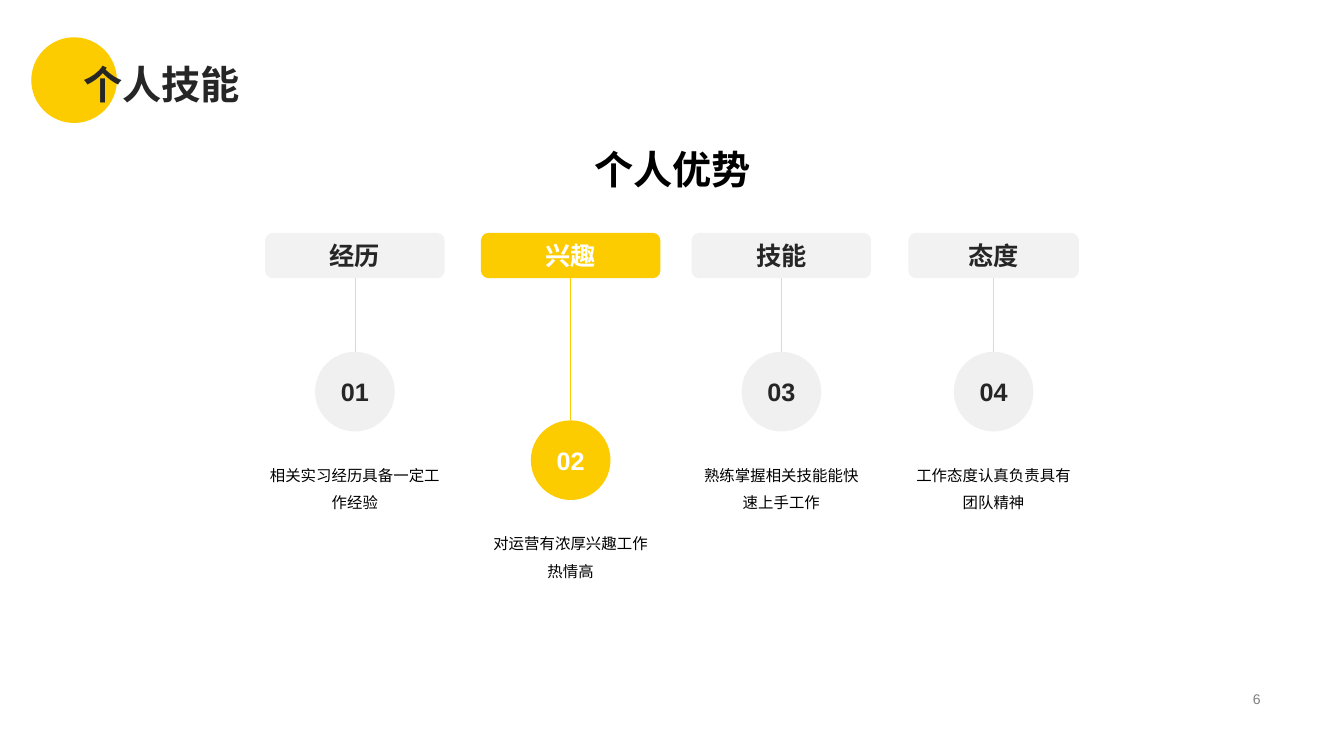
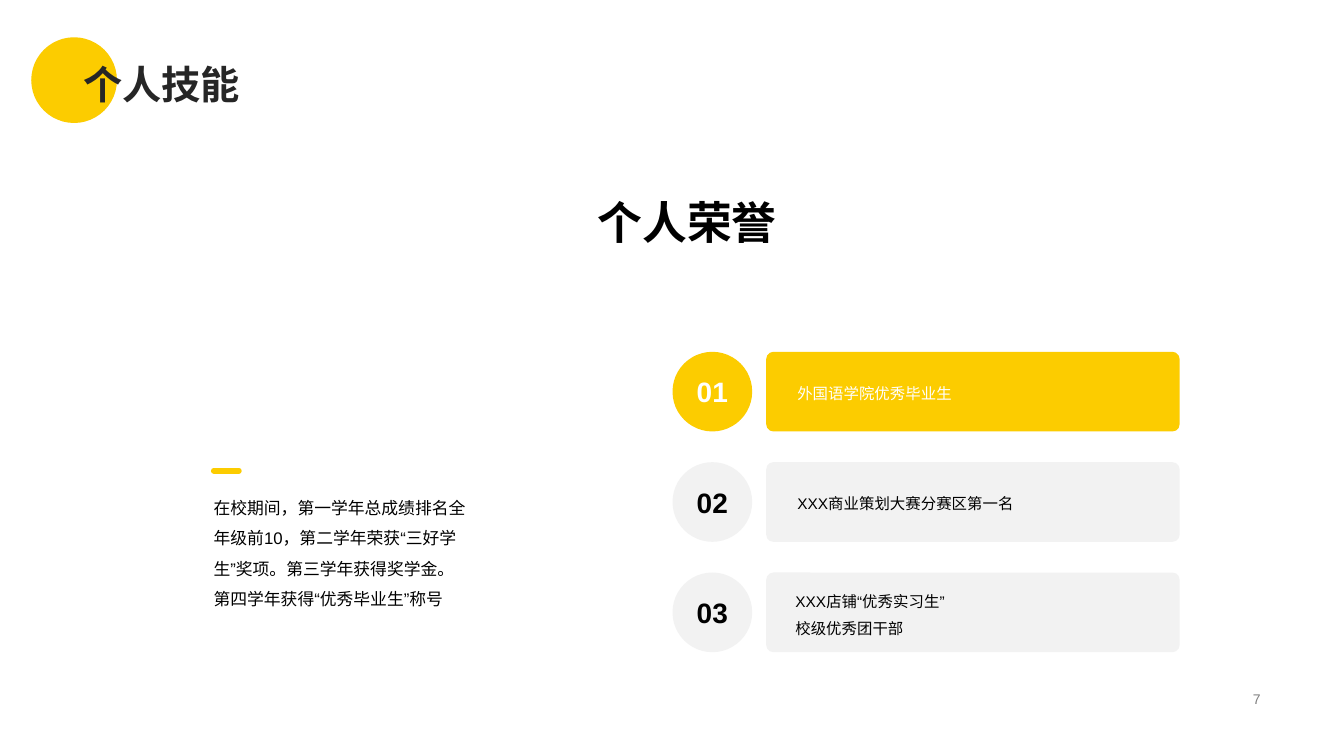
from lxml.etree import SubElement
from pptx import Presentation
from pptx.dml.color import RGBColor
from pptx.enum.lang import MSO_LANGUAGE_ID
from pptx.enum.shapes import MSO_CONNECTOR, MSO_SHAPE
from pptx.enum.text import MSO_ANCHOR, PP_ALIGN
from pptx.oxml.ns import qn
from pptx.util import Inches, Pt

FONT = "Arial"
GOLD, PALE, DISC, RULE = "FCCC00", "F2F2F2", "F0F0F0", "D9D9D9"
INK, BLACK, WHITE, GRAY = "262626", "000000", "FFFFFF", "808080"
LEFT, MID, RIGHT = PP_ALIGN.LEFT, PP_ALIGN.CENTER, PP_ALIGN.RIGHT
TOP, CENTER, BASE = MSO_ANCHOR.TOP, MSO_ANCHOR.MIDDLE, MSO_ANCHOR.BOTTOM
BALL = 0.79


def color(code):
    return RGBColor.from_string(code)


def write(shape, text, size, ink, bold=False, align=LEFT, anchor=TOP, space=1.0):
    frame = shape.text_frame
    frame.word_wrap = True
    frame.vertical_anchor = anchor
    for num, line in enumerate(text.split("\n")):
        para = frame.add_paragraph() if num else frame.paragraphs[0]
        para.alignment = align
        para.line_spacing = space
        run = para.add_run()
        run.text = line
        font = run.font
        font.name = FONT
        font.size = Pt(size)
        font.bold = bold
        font.color.rgb = color(ink)
        font.language_id = MSO_LANGUAGE_ID.SIMPLIFIED_CHINESE
        SubElement(run._r.get_or_add_rPr(), qn("a:ea"), typeface=FONT)


def label(slide, box, text, size, ink, **style):
    shape = slide.shapes.add_textbox(*map(Inches, box))
    write(shape, text, size, ink, **style)


def block(slide, kind, box, fill, curve=None):
    shape = slide.shapes.add_shape(kind, *map(Inches, box))
    shape.shadow.inherit = False
    shape.fill.solid()
    shape.fill.fore_color.rgb = color(fill)
    shape.line.fill.background()
    if curve is not None:
        shape.adjustments[0] = curve
    return shape


def stroke(slide, start, end, ink, width, cap="flat"):
    line = slide.shapes.add_connector(
        MSO_CONNECTOR.STRAIGHT, *map(Inches, start + end))
    line.line.color.rgb = color(ink)
    line.line.width = Pt(width)
    line.line._get_or_add_ln().set("cap", cap)
    SubElement(line._element.spPr, qn("a:effectLst"))


def badge(slide, left, top, text, fill, ink, size):
    ball = block(slide, MSO_SHAPE.OVAL, (left, top, BALL, BALL), fill)
    write(ball, text, size, ink, bold=True, align=MID, anchor=CENTER)


def base(deck, page):
    slide = deck.slides.add_slide(deck.slide_layouts[6])
    block(slide, MSO_SHAPE.OVAL, (0.31, 0.37, 0.85, 0.85), GOLD)
    label(slide, (0.73, 0, 11.87, 1.12), "个人技能", 28, INK,
          bold=True, anchor=BASE, space=0.9)
    label(slide, (9.42, 6.82, 3.18, 0.23), str(page), 10, GRAY,
          align=RIGHT, anchor=CENTER)
    return slide


def column(slide, box, drop, wide, num, head, note, hot):
    left, top, width, height = box
    mid = left + width / 2
    fill, disc, rule, ink = (
        (GOLD, GOLD, GOLD, WHITE) if hot else (PALE, DISC, RULE, INK))
    stroke(slide, (mid, top + height), (mid, top + drop), rule, 0.5)
    pill = block(slide, MSO_SHAPE.ROUNDED_RECTANGLE, box, fill)
    write(pill, head, 18, ink, bold=True, align=MID, anchor=CENTER)
    badge(slide, mid - BALL / 2, top + drop, num, disc, ink, 18)
    label(slide, (mid - wide / 2, top + drop + 0.99, wide, 0.94), note, 11,
          BLACK, align=MID, space=1.5)


def skills(deck):
    slide = base(deck, 6)
    label(slide, (2.86, 1.39, 7.62, 0.53), "个人优势", 28, BLACK,
          bold=True, align=MID)
    items = [
        (2.63, 1.78, 1.9, "经历", "相关实习经历具备一定工作经验"),
        (4.77, 1.78, 1.83, "兴趣", "对运营有浓厚兴趣工作热情高"),
        (6.86, 1.78, 1.83, "技能", "熟练掌握相关技能能快速上手工作"),
        (9.01, 1.69, 1.83, "态度", "工作态度认真负责具有团队精神"),
    ]
    for num, (left, width, wide, head, note) in enumerate(items, 1):
        hot = num == 2
        column(slide, (left, 2.31, width, 0.45), 1.86 if hot else 1.18,
               wide, f"{num:02}", head, note, hot)


def award(slide, left, top, num, text, hot, shift):
    fill = GOLD if hot else PALE
    ink = WHITE if hot else BLACK
    badge(slide, left, top, num, fill, ink, 20)
    block(slide, MSO_SHAPE.ROUNDED_RECTANGLE,
          (left + 0.93, top, 4.1, BALL), fill, 0.09)
    over, down = shift
    label(slide, (left + over, top + down, 3.46, 0.43), text, 11, ink, space=1.5)


def story(slide, left, top):
    stroke(slide, (left + 0.1, top), (left + 0.35, top), GOLD, 4, "rnd")
    label(slide, (left, top + 0.12, 2.71, 1.28),
          "在校期间，第一学年总成绩排名全年级前10，第二学年荣获“三好学生”奖项。"
          "第三学年获得奖学金。第四学年获得“优秀毕业生”称号",
          12, BLACK, space=1.5)


def honors(deck):
    slide = base(deck, 7)
    label(slide, (2.37, 1.87, 8.89, 0.64), "个人荣誉", 32, BLACK,
          bold=True, align=MID, anchor=BASE)
    story(slide, 2.02, 4.67)
    items = [
        ("外国语学院优秀毕业生", (1.14, 0.18)),
        ("XXX商业策划大赛分赛区第一名", (1.14, 0.18)),
        ("XXX店铺“优秀实习生”\n校级优秀团干部", (1.12, 0.05)),
    ]
    for num, (text, shift) in enumerate(items):
        award(slide, 6.67, 3.49 + num * 1.095, f"{num + 1:02}", text,
              num == 0, shift)


def main():
    deck = Presentation()
    deck.slide_width = Inches(13.33)
    deck.slide_height = Inches(7.5)
    skills(deck)
    honors(deck)
    deck.save("out.pptx")


if __name__ == "__main__":
    main()
